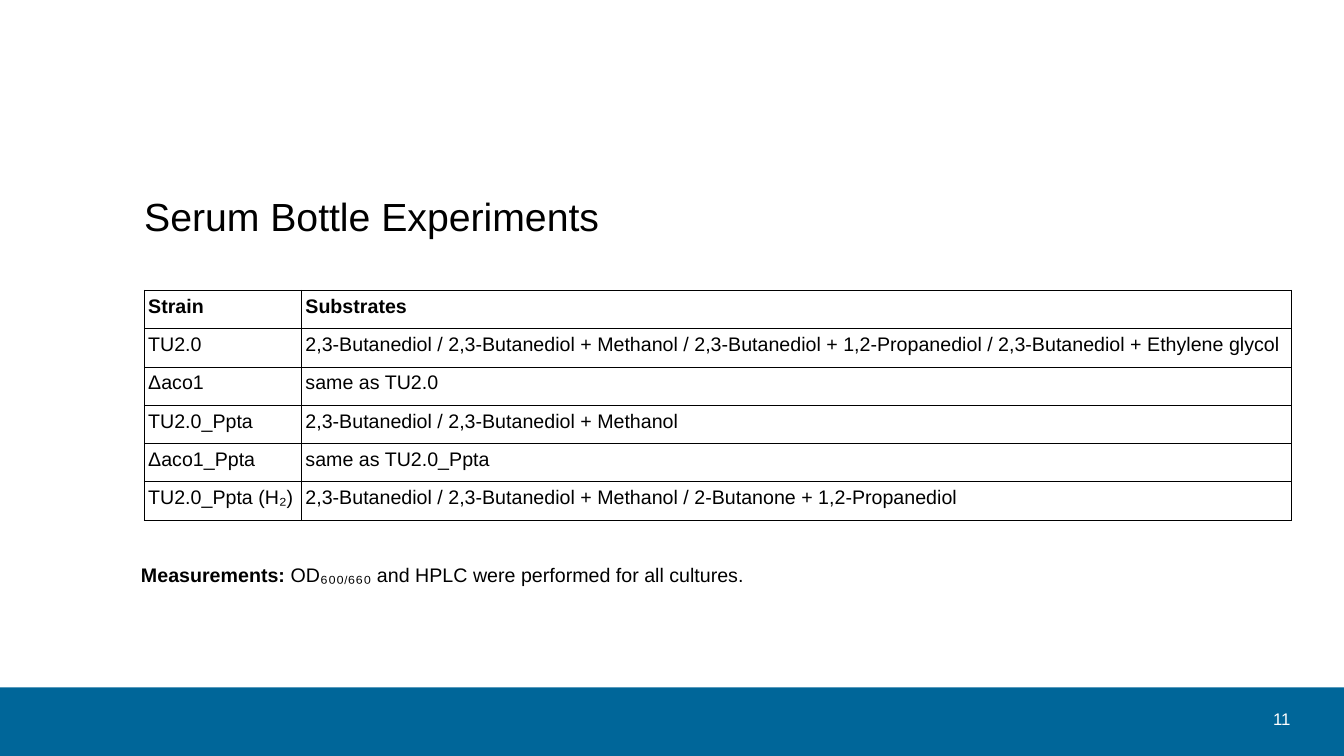
from pptx import Presentation
from pptx.dml.color import RGBColor
from pptx.enum.shapes import MSO_SHAPE
from pptx.enum.text import MSO_ANCHOR, PP_ALIGN
from pptx.oxml import parse_xml
from pptx.oxml.ns import nsdecls
from pptx.util import Inches, Pt

TITLE = "Serum Bottle Experiments"
ROWS = [
    ("Strain", "Substrates"),
    ("TU2.0", "2,3-Butanediol / 2,3-Butanediol + Methanol / "
              "2,3-Butanediol + 1,2-Propanediol / 2,3-Butanediol + Ethylene glycol"),
    ("Δaco1", "same as TU2.0"),
    ("TU2.0_Ppta", "2,3-Butanediol / 2,3-Butanediol + Methanol"),
    ("Δaco1_Ppta", "same as TU2.0_Ppta"),
    ("TU2.0_Ppta (H₂)", "2,3-Butanediol / 2,3-Butanediol + Methanol / "
                        "2-Butanone + 1,2-Propanediol"),
]
# Each part of the note: text, bold, baseline shift in percent
NOTE = [
    ("Measurements:", True, 0),
    (" OD₆₀₀", False, 0),
    ("/", False, -8),
    ("₆₆₀ and HPLC were performed for all cultures.", False, 0),
]
PAGE = "11"

THEME = {
    "font": "Arial", "ink": "000000", "band": "006699", "light": "FFFFFF",
    "title": 28, "body": 14, "page": 12, "rule": 0.57,
}
WIDE, HIGH = 13.33, 7.5
LEFT, SPAN = 1.43, 11.38
BAND_TOP = 6.82
COLS = (1.56, SPAN - 1.56)
ROW_HIGH = 0.38
LEFT_AL, RIGHT_AL = PP_ALIGN.LEFT, PP_ALIGN.RIGHT
TOP, MIDDLE = MSO_ANCHOR.TOP, MSO_ANCHOR.MIDDLE


def write(frame, parts, size="body", color="ink", align=LEFT_AL):
    """Fill a text frame with (text, bold, shift) parts."""
    frame.word_wrap = True
    para = frame.paragraphs[0]
    para.alignment = align
    for text, bold, shift in parts:
        run = para.add_run()
        run.text = text
        font = run.font
        font.name, font.size, font.bold = THEME["font"], Pt(THEME[size]), bold
        font.color.rgb = RGBColor.from_string(THEME[color])
        if shift:
            run._r.get_or_add_rPr().set("baseline", str(shift * 1000))


def add_text(slide, box, parts, pad=(0, 0), anchor=MIDDLE, **form):
    frame = slide.shapes.add_textbox(*map(Inches, box)).text_frame
    frame.margin_left = frame.margin_right = Inches(pad[0])
    frame.margin_top = frame.margin_bottom = Inches(pad[1])
    frame.vertical_anchor = anchor
    write(frame, parts, **form)


def outline(cell):
    props = cell._tc.get_or_add_tcPr()
    for at, side in enumerate(("lnL", "lnR", "lnT", "lnB")):
        props.insert(at, parse_xml(
            f'<a:{side} {nsdecls("a")} w="{int(Pt(THEME["rule"]))}"><a:solidFill>'
            f'<a:srgbClr val="{THEME["ink"]}"/></a:solidFill></a:{side}>'))


def add_grid(slide, top):
    box = (LEFT, top, SPAN, ROW_HIGH * len(ROWS))
    table = slide.shapes.add_table(len(ROWS), len(COLS), *map(Inches, box)).table
    table.first_row = table.horz_banding = False
    for col, width in zip(table.columns, COLS):
        col.width = Inches(width)
    for r, row in enumerate(ROWS):
        table.rows[r].height = Inches(ROW_HIGH)
        for c, text in enumerate(row):
            cell = table.cell(r, c)
            cell.margin_left = cell.margin_right = Inches(0.04)
            cell.margin_top = cell.margin_bottom = Inches(0.05)
            cell.fill.background()
            outline(cell)
            write(cell.text_frame, [(text, r == 0, 0)])


def main():
    deck = Presentation()
    deck.slide_width, deck.slide_height = Inches(WIDE), Inches(HIGH)
    slide = deck.slides.add_slide(deck.slide_layouts[6])

    band = slide.shapes.add_shape(
        MSO_SHAPE.RECTANGLE, *map(Inches, (0, BAND_TOP, WIDE, HIGH - BAND_TOP)))
    band.shadow.inherit = False
    band.fill.solid()
    band.fill.fore_color.rgb = RGBColor.from_string(THEME["band"])
    band.line.fill.background()

    add_text(slide, (LEFT, 1.69, SPAN, 0.9), [(TITLE, False, 0)], size="title")
    add_grid(slide, 2.88)
    add_text(slide, (1.3, 5.54, 11.55, 0.33), NOTE, pad=(0.1, 0.05), anchor=TOP)
    add_text(slide, (11.9, 6.98, 0.9, 0.31), [(PAGE, False, 0)],
             size="page", color="light", align=RIGHT_AL)
    deck.save("out.pptx")


if __name__ == "__main__":
    main()
